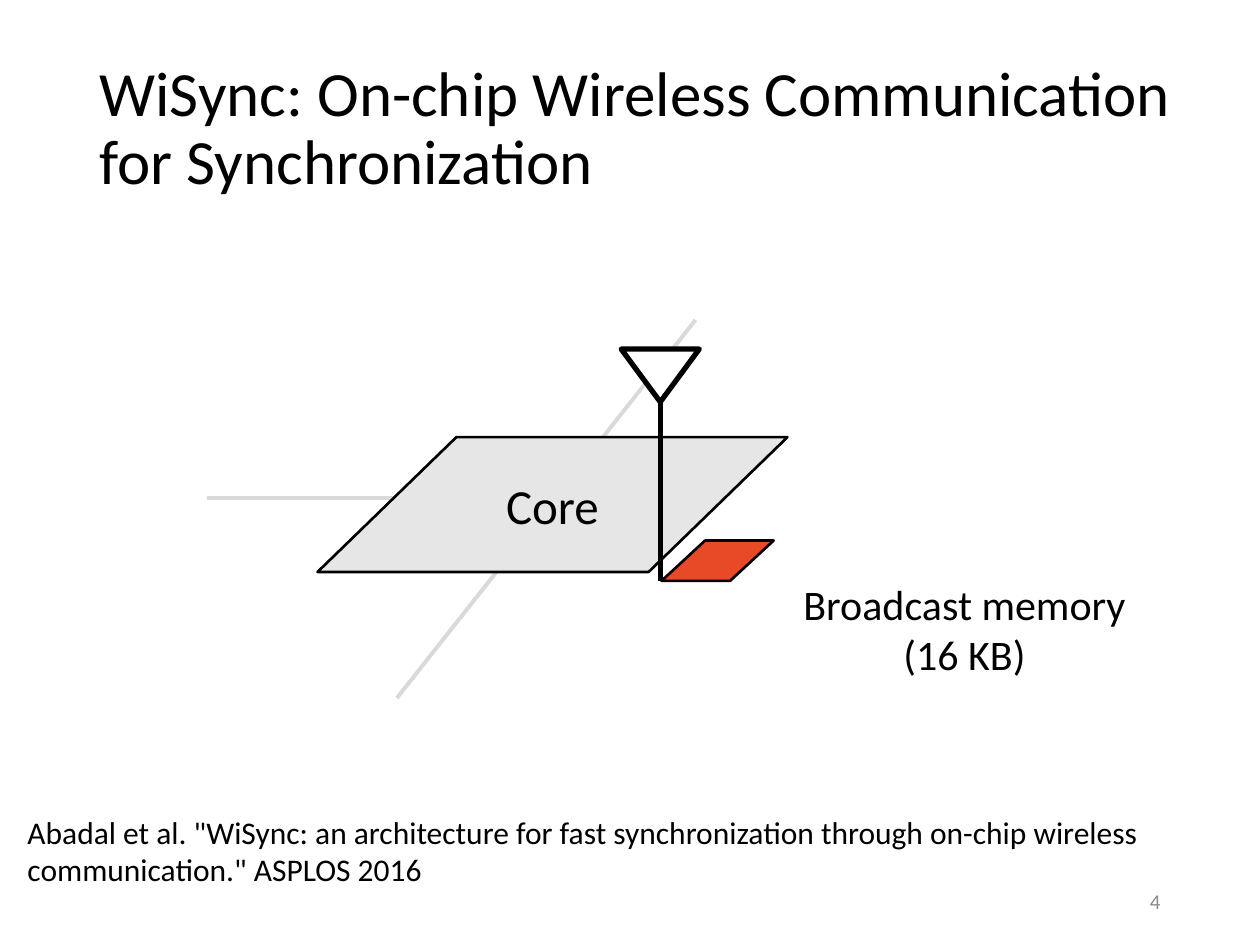
from lxml import etree
from pptx import Presentation
from pptx import util as u
from pptx.dml import color
from pptx.enum import shapes, text
from pptx.oxml import ns

HUES = {
    "ink": "000000",
    "page": "FFFFFF",
    "wire": "D9D9D9",
    "core": "E7E6E6",
    "mem": "E84A27",
    "num": "8C8C8C",
}
KIND = shapes.MSO_SHAPE
ALIGN = text.PP_ALIGN
MID = text.MSO_ANCHOR.MIDDLE
TOP = text.MSO_ANCHOR.TOP


def rgb(name):
    return color.RGBColor.from_string(HUES[name])


def place(item, box):
    item.left, item.top, item.width, item.height = map(u.Inches, box)


def write(item, words, size=18, hue="ink", align=ALIGN.LEFT, anchor=TOP, space=None):
    frame = item.text_frame
    frame.word_wrap = True
    frame.auto_size = text.MSO_AUTO_SIZE.NONE
    frame.vertical_anchor = anchor
    frame.text = words
    for para in frame.paragraphs:
        para.alignment = align
        para.line_spacing = space
        for run in para.runs:
            run.font.name = "Calibri"
            run.font.size = u.Pt(size)
            run.font.color.rgb = rgb(hue)


def label(slide, box, words, **style):
    write(slide.shapes.add_textbox(*map(u.Inches, box)), words, **style)


def line(slide, start, end, hue, width):
    item = slide.shapes.add_connector(
        shapes.MSO_CONNECTOR.STRAIGHT, *map(u.Inches, start + end))
    item.line.color.rgb = rgb(hue)
    item.line.width = u.Pt(width)
    etree.SubElement(item._element.spPr, ns.qn("a:effectLst"))


def shape(slide, kind, box, fill, width, slant=None):
    item = slide.shapes.add_shape(kind, *map(u.Inches, box))
    item.shadow.inherit = False
    item.fill.solid()
    item.fill.fore_color.rgb = rgb(fill)
    item.line.color.rgb = rgb("ink")
    item.line.width = u.Pt(width)
    if slant is not None:
        item.adjustments[0] = slant
    return item


def mast(slide):
    line(slide, (5.24, 4.61), (5.24, 3.19), "ink", 3)
    dish = shape(slide, KIND.ISOSCELES_TRIANGLE, (4.93, 2.77, 0.62, 0.42), "page", 3)
    dish.rotation = 180


def main():
    deck = Presentation()
    deck.slide_width, deck.slide_height = u.Inches(10), u.Inches(7.5)
    slide = deck.slides.add_slide(deck.slide_layouts[5])

    line(slide, (1.64, 3.95), (4.48, 3.95), "wire", 2.25)
    line(slide, (3.15, 5.54), (5.52, 2.54), "wire", 2.25)

    title = slide.shapes.title
    place(title, (0.69, 0.48, 8.88, 1.1))
    write(title, "WiSync: On-chip Wireless Communication for Synchronization",
          size=36, anchor=MID, space=0.9)

    label(slide, (0.12, 6.4, 9.77, 0.71),
          'Abadal et al. "WiSync: an architecture for fast synchronization '
          'through on-chip wireless communication." ASPLOS 2016')
    label(slide, (7.06, 6.95, 2.25, 0.4), "4",
          size=12, hue="num", align=ALIGN.RIGHT, anchor=MID)

    shape(slide, KIND.PARALLELOGRAM, (5.25, 4.29, 0.89, 0.32), "mem", 1.5, 1.08)
    core = shape(slide, KIND.PARALLELOGRAM, (2.52, 3.47, 3.73, 1.07), "core", 1.5, 1.03)
    write(core, "Core", size=28, align=ALIGN.CENTER, anchor=MID)
    mast(slide)
    label(slide, (6.26, 4.54, 2.79, 0.91), "Broadcast memory\n(16 KB)",
          size=24, align=ALIGN.CENTER)

    deck.save("out.pptx")


if __name__ == "__main__":
    main()
